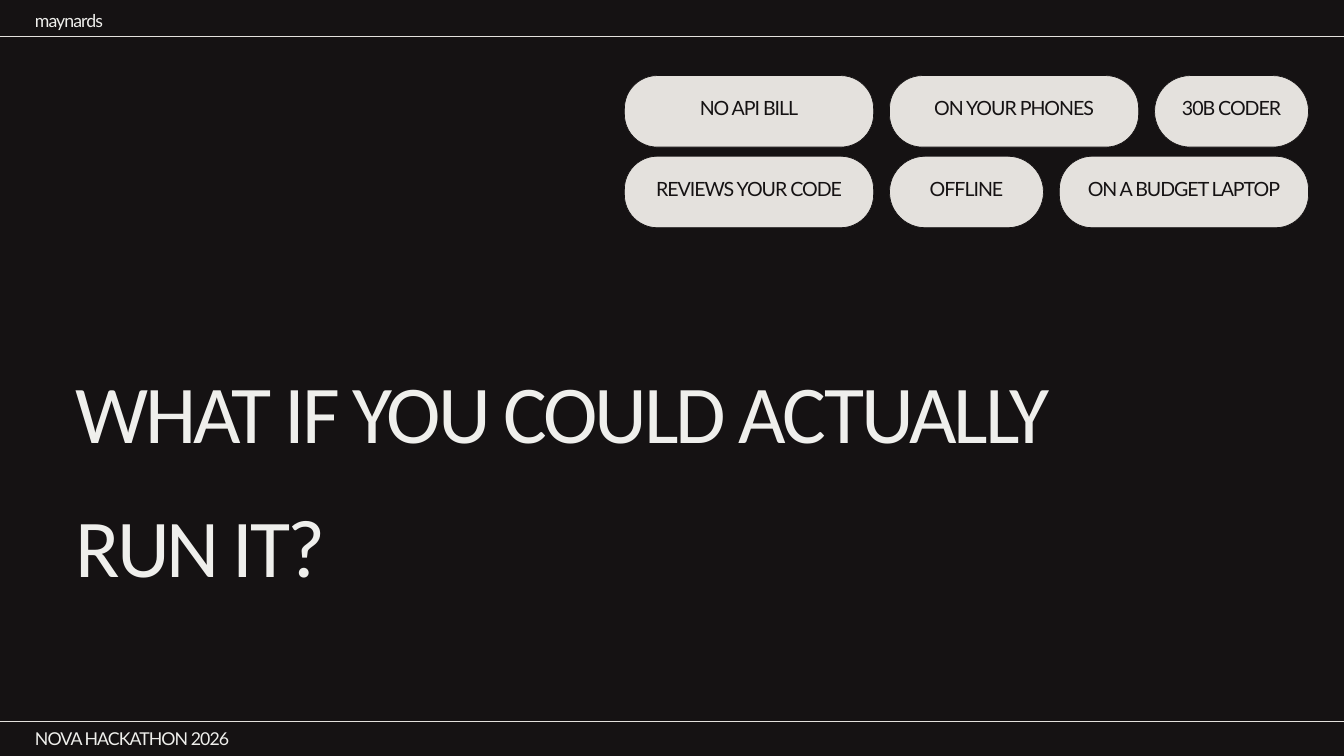
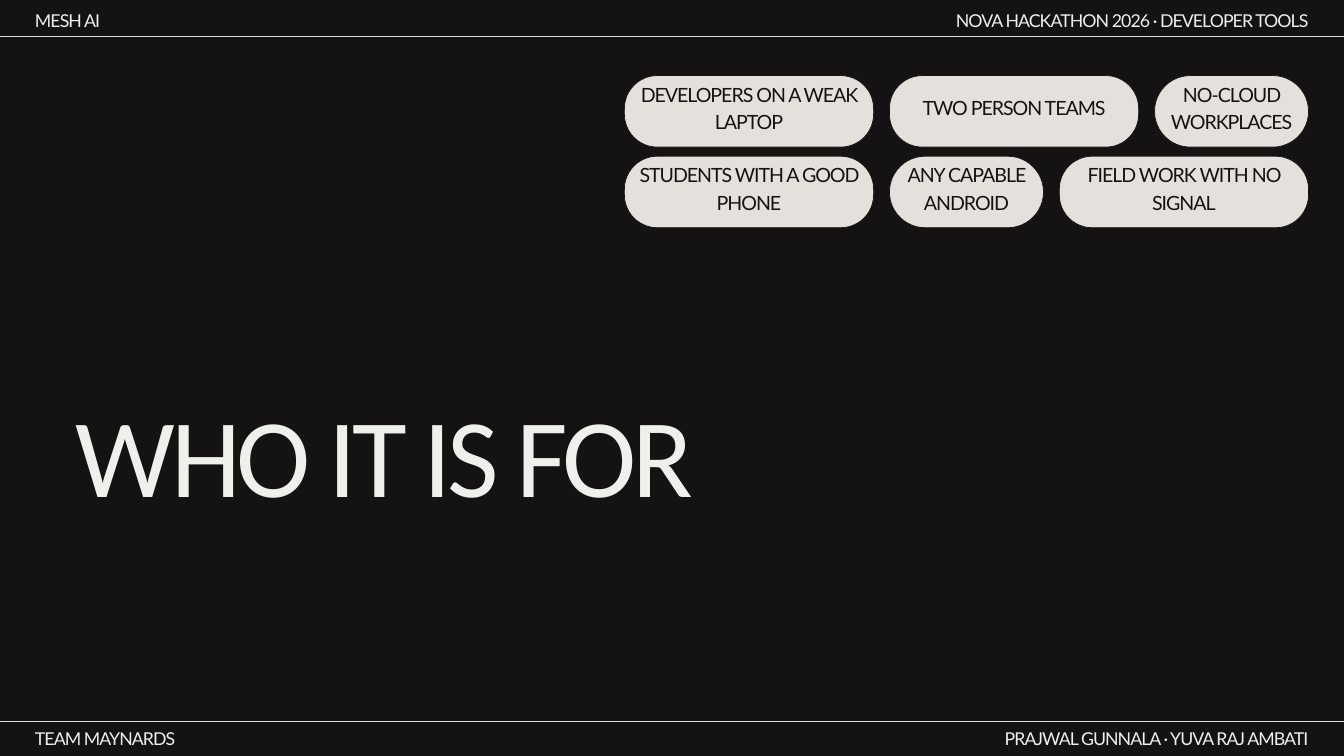
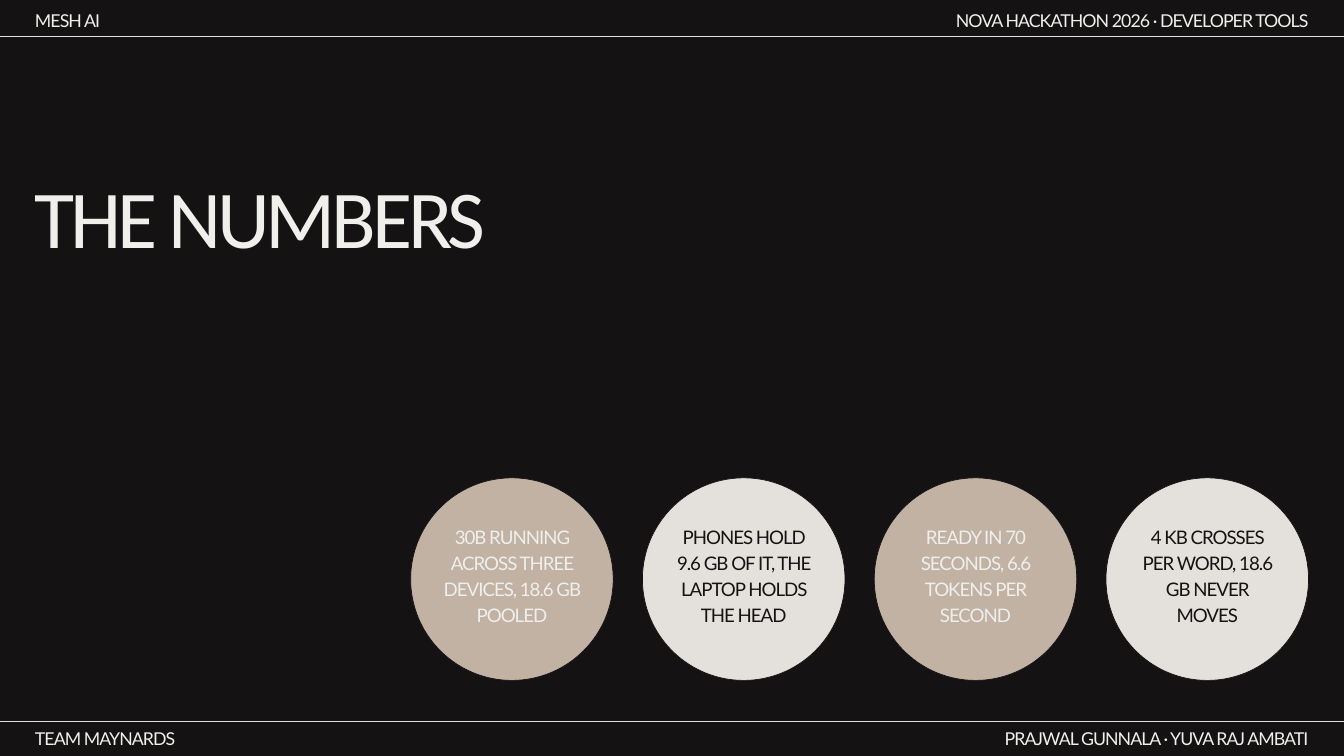
from lxml import etree
from pptx import Presentation
from pptx import util as u
from pptx.dml.color import RGBColor
from pptx.enum import shapes, text
from pptx.oxml import ns

Pt = u.Pt
WIDTH, HEIGHT = 1440, 810
LEFT, RIGHT = 37.5, 1402
INK, PAPER, STONE, SAND = "151213", "EFEFEC", "E4E1DD", "C1B2A4"
ALIGN = text.PP_ALIGN


def colour(value):
    return RGBColor.from_string(value)


class Deck:
    """Hold the shared style and draw on the current slide."""

    def __init__(self):
        self.show = Presentation()
        self.show.slide_width, self.show.slide_height = Pt(WIDTH), Pt(HEIGHT)
        self.slide = None

    def new_slide(self):
        self.slide = self.show.slides.add_slide(self.show.slide_layouts[6])
        backdrop = self.slide.background.fill
        backdrop.solid()
        backdrop.fore_color.rgb = colour(INK)

    def label(self, parent, box, words, size, leading, spacing, font="Lato",
              ink=PAPER, align=ALIGN.LEFT, inset=0, middle=False):
        area = parent.add_textbox(*map(Pt, box))
        frame = area.text_frame
        frame.word_wrap = True
        frame.margin_left = frame.margin_right = Pt(inset)
        frame.margin_top = frame.margin_bottom = Pt(inset)
        if middle:
            frame.vertical_anchor = text.MSO_ANCHOR.MIDDLE
        else:
            frame.auto_size = text.MSO_AUTO_SIZE.SHAPE_TO_FIT_TEXT
        frame.text = words
        line = frame.paragraphs[0]
        line.alignment, line.line_spacing = align, Pt(leading)
        for run in line.runs:
            run.font.name, run.font.size = font, Pt(size)
            run.font.color.rgb = colour(ink)
            run._r.get_or_add_rPr().set("spc", str(round(spacing * 100)))

    def title(self, box, words, size, leading, spacing):
        self.label(self.slide.shapes, box, words, size, leading, spacing, font="Calibri")

    def badge(self, preset, box, fill, label_box, words, size, leading, inset, ink=INK, corner=None):
        group = self.slide.shapes.add_group_shape().shapes
        body = group.add_shape(preset, *map(Pt, box))
        body.shadow.inherit = False
        if corner is not None:
            body.adjustments[0] = corner
        body.fill.solid()
        body.fill.fore_color.rgb = colour(fill)
        body.line.color.rgb = colour(INK)
        body.line.width = Pt(0.75)
        self.label(group, label_box, words, size, leading, -1.1, ink=ink,
                   align=ALIGN.CENTER, inset=inset, middle=True)

    def pills(self, rows):
        wide, narrow, gap, height = 267, 165, 17, 76.6
        patterns = ((wide, wide, narrow), (wide, narrow, wide))
        for row, (labels, widths) in enumerate(zip(rows, patterns)):
            left, top = 669, 81 + row * 86.4
            for words, width in zip(labels, widths):
                self.badge(shapes.MSO_SHAPE.ROUNDED_RECTANGLE, (left, top, width, height), STONE,
                           (left, top - 11, width, height + 11), words, 21, 29.4, 4,
                           corner=0.46 if width == wide else 0.5)
                left += width + gap

    def circles(self, facts):
        first, top, size = 440, 512, 217
        step = (RIGHT - size - first) / (len(facts) - 1)
        for index, words in enumerate(facts):
            left = first + index * step
            fill, ink = ((SAND, PAPER), (STONE, INK))[index % 2]
            self.badge(shapes.MSO_SHAPE.OVAL, (left, top, size, size), fill,
                       (left + 20.3, top + 10, 176.4, 186.5), words, 20, 28, 15, ink=ink)

    def rule(self, y):
        line = self.slide.shapes.add_connector(
            shapes.MSO_CONNECTOR.STRAIGHT, Pt(0), Pt(y), Pt(WIDTH), Pt(y))
        line.line.color.rgb = colour(STONE)
        line.line.width = Pt(0.75)
        etree.SubElement(line._element.spPr, ns.qn("a:effectLst"))

    def margin_note(self, y, width, words, align=ALIGN.LEFT):
        left = LEFT if align == ALIGN.LEFT else RIGHT - width
        self.label(self.slide.shapes, (left, y, width, 25), words, 19, 26.6, -1, align=align)

    def bands(self, project, team, event=None, authors=None):
        header, footer = 7, 776
        self.margin_note(header, 222, project)
        if event:
            self.margin_note(header, 501, event, ALIGN.RIGHT)
        self.margin_note(footer, 333, team)
        if authors:
            self.margin_note(footer, 333, authors, ALIGN.RIGHT)
        self.rule(39)
        self.rule(773)


def main():
    deck = Deck()
    hackathon = "NOVA HACKATHON 2026"
    credits = ("MESH AI", "TEAM MAYNARDS", f"{hackathon} · DEVELOPER TOOLS",
               "PRAJWAL GUNNALA · YUVA RAJ AMBATI")

    deck.new_slide()
    deck.title((81, 348.5, 1150, 296), "WHAT IF YOU COULD ACTUALLY RUN IT?", 88, 144, -3.2)
    deck.pills((("NO API BILL", "ON YOUR PHONES", "30B CODER"),
                ("REVIEWS YOUR CODE", "OFFLINE", "ON A BUDGET LAPTOP")))
    deck.bands("maynards", hackathon)

    deck.new_slide()
    deck.title((81, 357, 683, 410), "WHO IT IS FOR", 120, 200, -4.4)
    deck.pills((("DEVELOPERS ON A WEAK LAPTOP", "TWO PERSON TEAMS", "NO-CLOUD WORKPLACES"),
                ("STUDENTS WITH A GOOD PHONE", "ANY CAPABLE ANDROID", "FIELD WORK WITH NO SIGNAL")))
    deck.bands(*credits)

    deck.new_slide()
    deck.title((LEFT, 83.5, 1327, 210), "THE NUMBERS", 88, 200, -4.4)
    deck.circles(("30B RUNNING ACROSS THREE DEVICES, 18.6 GB POOLED",
                  "PHONES HOLD 9.6 GB OF IT, THE LAPTOP HOLDS THE HEAD",
                  "READY IN 70 SECONDS, 6.6 TOKENS PER SECOND",
                  "4 KB CROSSES PER WORD, 18.6 GB NEVER MOVES"))
    deck.bands(*credits)

    deck.show.save("out.pptx")


if __name__ == "__main__":
    main()
